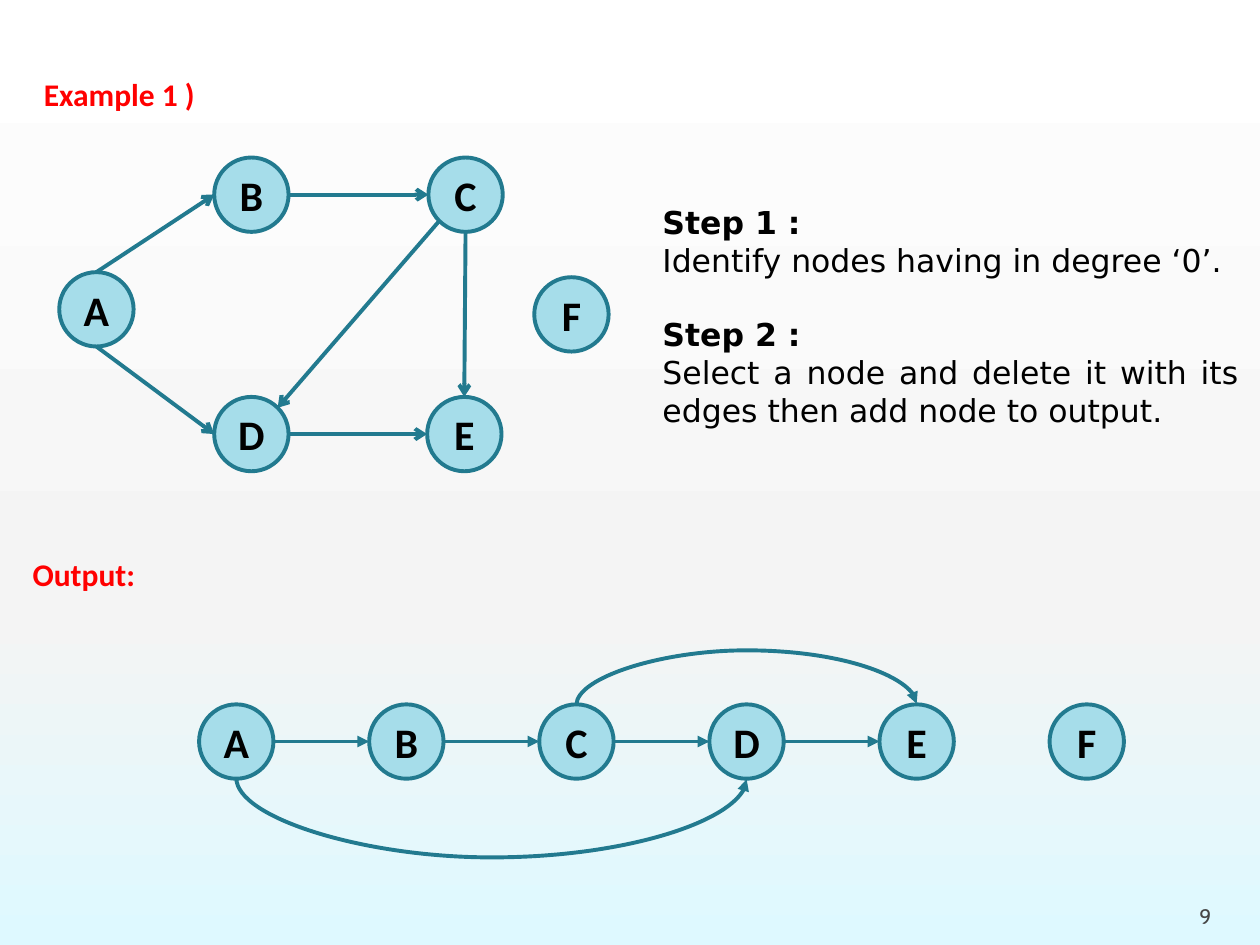
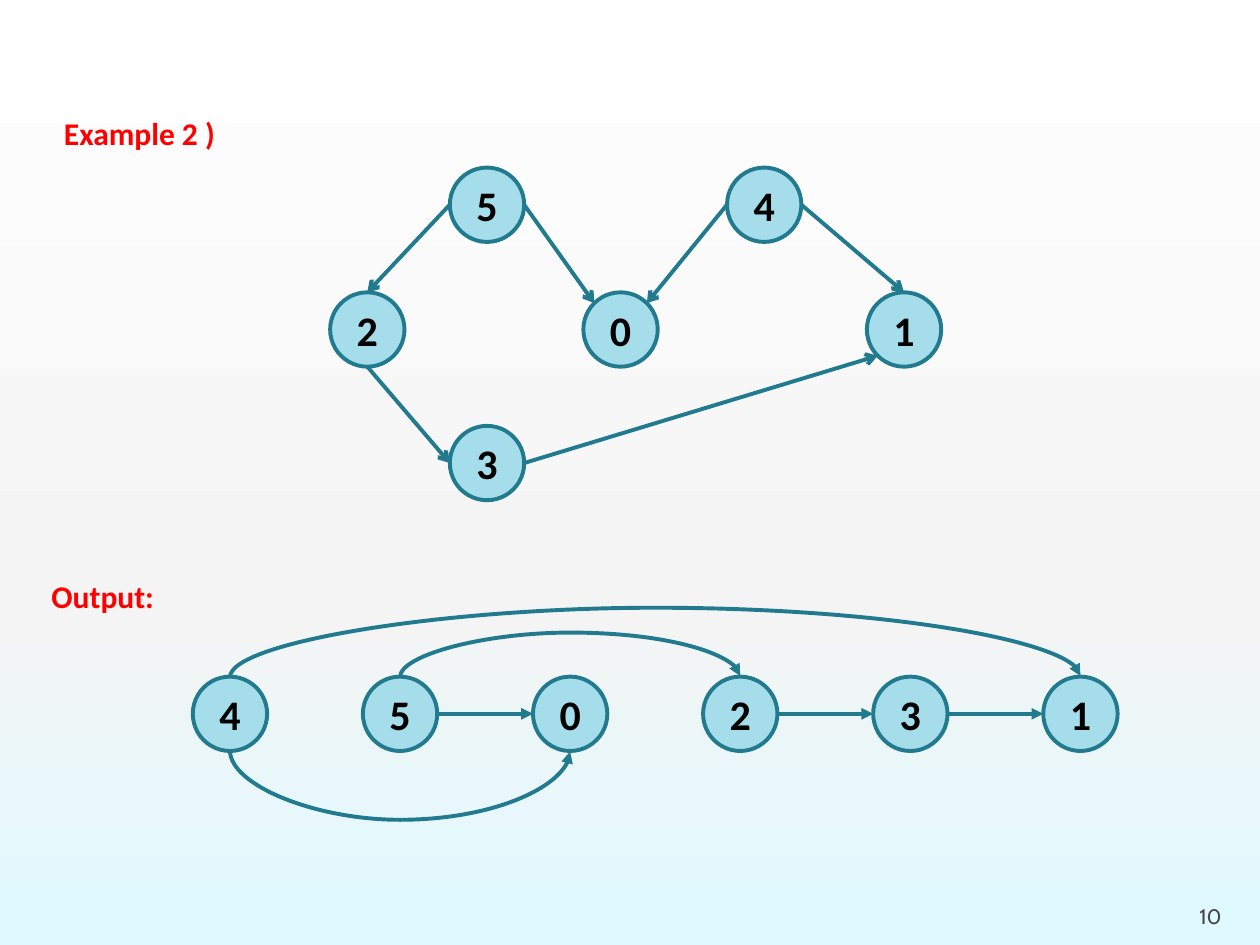
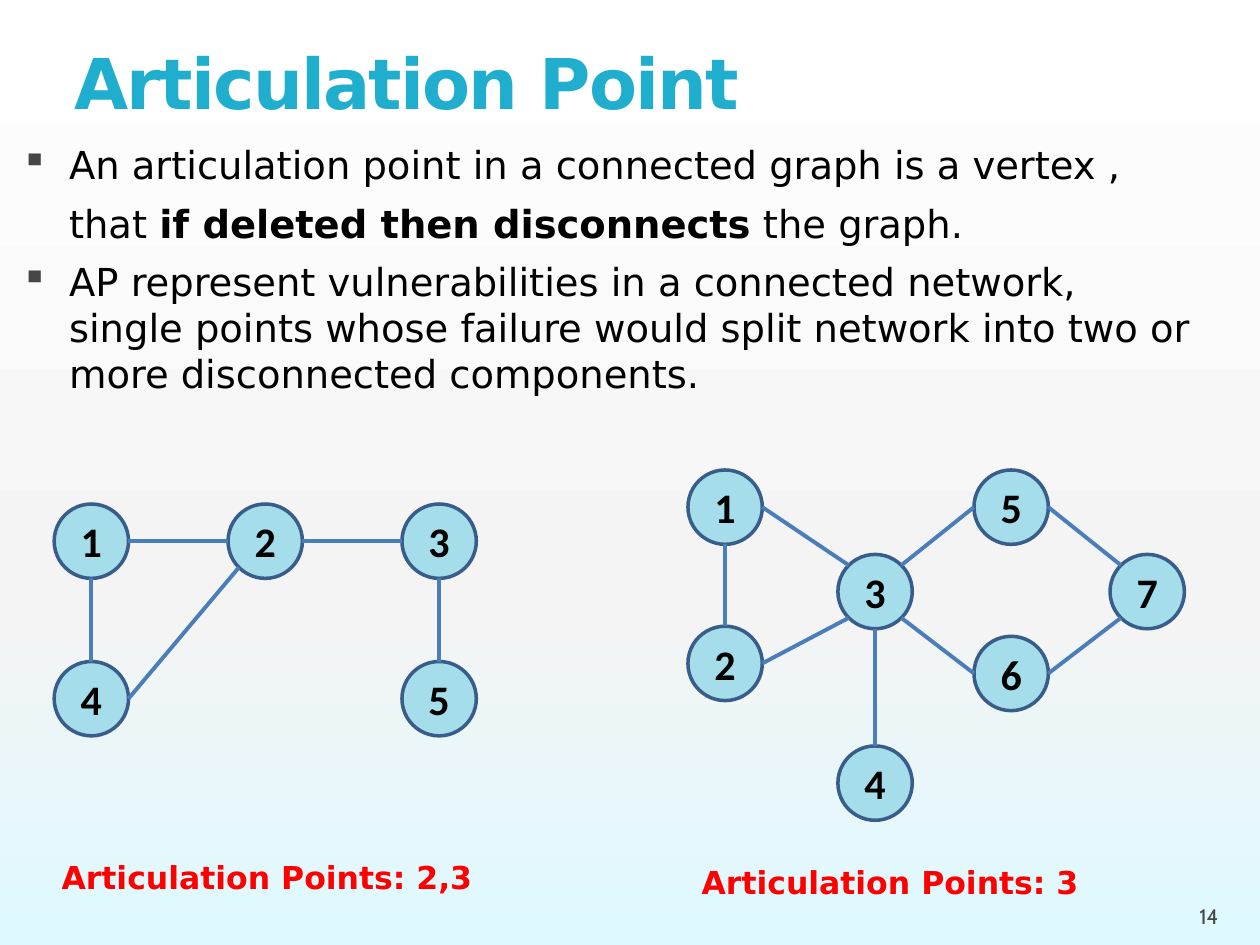
"""Build three slides on topological sorting and articulation points."""
from copy import deepcopy
from dataclasses import dataclass
from enum import Enum
from math import sqrt
from typing import NamedTuple

from lxml.etree import SubElement
from pptx import Presentation
from pptx.dml.color import RGBColor
from pptx.enum.shapes import MSO_CONNECTOR as Route, MSO_SHAPE as Preset
from pptx.enum.text import MSO_ANCHOR as Anchor, PP_ALIGN as Align
from pptx.oxml.ns import qn
from pptx.util import Inches, Pt


@dataclass(frozen=True)
class Theme:
    """Colours, fonts and type sizes of the deck."""
    node_fill: str = "A6DDEA"
    teal: str = "227A8F"
    navy: str = "385D8A"
    blue: str = "4A7EBB"
    heading: str = "1FAECD"
    red: str = "FF0000"
    black: str = "000000"
    grey: str = "464646"
    backdrop: tuple = ((0, "FFFFFF"), (0.65, "F4F4F4"), (1, "DEF9FF"))
    sans: str = "DejaVu Sans"
    label: str = "Calibri"
    number: str = "Cabin"
    title_size: float = 40
    node_size: float = 24
    body_size: float = 22
    text_size: float = 18
    number_size: float = 12
    link_width: float = 2.25


THEME = Theme()
DIAMETER = 0.59
RADIUS = DIAMETER / 2
CHAIN_PITCH = 1.35
ARC_THICKNESS = 0.01
DIAGONAL = 1 / sqrt(2)


class Side(Enum):
    """Point on a node's rim, as a direction from its centre."""
    N = (0, -1)
    NE = (DIAGONAL, -DIAGONAL)
    E = (1, 0)
    SE = (DIAGONAL, DIAGONAL)
    S = (0, 1)
    SW = (-DIAGONAL, DIAGONAL)
    W = (-1, 0)
    NW = (-DIAGONAL, -DIAGONAL)


class Node(NamedTuple):
    """Labelled circle by its left and top."""
    label: str
    left: float
    top: float

    def rim(self, side: Side) -> tuple[float, float]:
        """Return the point of the rim on the given side."""
        dx, dy = side.value
        return self.left + RADIUS * (1 + dx), self.top + RADIUS * (1 + dy)


class Link(NamedTuple):
    """Straight edge between two nodes."""
    start: str
    leave: Side
    end: str
    enter: Side


class Arc(NamedTuple):
    """Curved edge running above (N) or below (S) the chain."""
    start: str
    end: str
    side: Side
    depth: float


class Look(NamedTuple):
    """Line style of a graph."""
    outline: str
    outline_width: float
    link: str
    head: str = ""


class Graph(NamedTuple):
    """Nodes and the edges between them."""
    look: Look
    nodes: list[Node]
    links: list[Link]
    arcs: tuple[Arc, ...] = ()


class Type(NamedTuple):
    """Character format of a run."""
    font: str
    size: float
    color: str
    bold: bool = False


class Box(NamedTuple):
    """Place of a text block."""
    left: float
    top: float
    width: float
    height: float


NODE_TYPE = Type(THEME.label, THEME.node_size, THEME.black, True)
TAG_TYPE = Type(THEME.label, THEME.text_size, THEME.red, True)
ANSWER_TYPE = Type(THEME.sans, THEME.text_size, THEME.red, True)
STEP_TYPE = Type(THEME.sans, THEME.text_size, THEME.black)
BODY_TYPE = Type(THEME.sans, THEME.body_size, THEME.black)
TITLE_TYPE = Type(THEME.sans, THEME.title_size, THEME.heading, True)
NUMBER_TYPE = Type(THEME.number, THEME.number_size, THEME.grey)

SOURCE_LOOK = Look(THEME.teal, 2.25, THEME.teal, "arrow")
OUTPUT_LOOK = SOURCE_LOOK._replace(head="triangle")
PLAIN_LOOK = Look(THEME.navy, 2, THEME.blue)


def rgb(color: str) -> RGBColor:
    """Turn a hex colour into an RGBColor."""
    return RGBColor.from_string(color)


def add_run(paragraph, text: str, kind: Type):
    """Append one formatted run."""
    run = paragraph.add_run()
    run.text = text
    run.font.name, run.font.size, run.font.bold = kind.font, Pt(kind.size), kind.bold
    run.font.color.rgb = rgb(kind.color)
    return run


def place(shape, box: Box) -> None:
    """Move and size a shape."""
    shape.left, shape.top, shape.width, shape.height = map(Inches, box)


def add_text(slide, box: Box, text: str = "", kind: Type = STEP_TYPE):
    """Add a wrapping text box and return its frame."""
    frame = slide.shapes.add_textbox(*map(Inches, box)).text_frame
    frame.word_wrap = True
    if text:
        add_run(frame.paragraphs[0], text, kind)
    return frame


def next_paragraph(frame):
    """Return the first paragraph while unused, otherwise a new one."""
    first = frame.paragraphs[0]
    return frame.add_paragraph() if first.runs else first


def add_node(slide, node: Node, look: Look) -> None:
    """Draw one labelled circle."""
    circle = slide.shapes.add_shape(
        Preset.OVAL, *map(Inches, (node.left, node.top, DIAMETER, DIAMETER)))
    circle.shadow.inherit = False
    circle.fill.solid()
    circle.fill.fore_color.rgb = rgb(THEME.node_fill)
    circle.line.color.rgb = rgb(look.outline)
    circle.line.width = Pt(look.outline_width)
    frame = circle.text_frame
    frame.margin_left = frame.margin_right = 0
    frame.vertical_anchor = Anchor.MIDDLE
    frame.paragraphs[0].alignment = Align.CENTER
    add_run(frame.paragraphs[0], node.label, NODE_TYPE)


def add_edge(slide, route: Route, begin: tuple, end: tuple, look: Look):
    """Draw a connector and return its shape properties."""
    edge = slide.shapes.add_connector(route, *map(Inches, (*begin, *end)))
    edge.line.color.rgb = rgb(look.link)
    edge.line.width = Pt(THEME.link_width)
    properties = edge.element.spPr
    if look.head:
        SubElement(properties.find(qn("a:ln")), qn("a:tailEnd"), type=look.head)
    SubElement(properties, qn("a:effectLst"))
    return properties


def add_arc(slide, arc: Arc, nodes: dict[str, Node], look: Look) -> None:
    """Draw a curved connector as a quarter-turned S-curve bulging out of the chain."""
    x1, y = nodes[arc.start].rim(arc.side)
    x2, _ = nodes[arc.end].rim(arc.side)
    middle, half = (x1 + x2) / 2, (x2 - x1) / 2
    turn, sign = (90, 1) if arc.side is Side.N else (270, -1)
    begin = (middle + ARC_THICKNESS / 2, y + sign * half)
    end = (middle - ARC_THICKNESS / 2, y - sign * half)
    properties = add_edge(slide, Route.CURVE, begin, end, look)
    properties.find(qn("a:xfrm")).set("rot", str(turn * 60000))
    bulge = round(arc.depth / ARC_THICKNESS * 100000)
    guides = properties.find(qn("a:prstGeom")).find(qn("a:avLst"))
    SubElement(guides, qn("a:gd"), name="adj1", fmla=f"val {bulge}")


def add_graph(slide, graph: Graph) -> None:
    """Draw the nodes and edges of a graph."""
    nodes = {node.label: node for node in graph.nodes}
    for node in graph.nodes:
        add_node(slide, node, graph.look)
    for link in graph.links:
        add_edge(slide, Route.STRAIGHT, nodes[link.start].rim(link.leave),
                 nodes[link.end].rim(link.enter), graph.look)
    for arc in graph.arcs:
        add_arc(slide, arc, nodes, graph.look)


def chain(labels: str, left: float, top: float, pairs: str, *arcs: Arc) -> Graph:
    """Lay out an output order as a row of evenly spaced nodes."""
    nodes = [Node(label, left + i * CHAIN_PITCH, top) for i, label in enumerate(labels)]
    links = [Link(start, Side.E, end, Side.W) for start, end in pairs.split()]
    return Graph(OUTPUT_LOOK, nodes, links, arcs)


def add_number(slide, number: int) -> None:
    """Add the slide number at the bottom right."""
    frame = add_text(slide, Box(9.42, 7.02, 0.5, 0.4), str(number), NUMBER_TYPE)
    frame.vertical_anchor = Anchor.BOTTOM


def paint_backdrop(master) -> None:
    """Give the master its vertical three-stop gradient."""
    fill = master.background.fill
    fill.gradient()
    fill.gradient_angle = 270
    stops = master.element.find(f".//{qn('a:gsLst')}")
    stops.append(deepcopy(stops[0]))
    for stop, (position, color) in zip(fill.gradient_stops, THEME.backdrop):
        stop.position = position
        stop.color.rgb = rgb(color)


def add_example(deck, number: int, example: tuple[str, Box], output_box: Box,
                source: Graph, output: Graph):
    """Add a slide with a source graph and its sorted output."""
    slide = deck.slides.add_slide(deck.slide_layouts[6])
    add_graph(slide, source)
    add_graph(slide, output)
    heading, heading_box = example
    add_text(slide, heading_box, heading, TAG_TYPE)
    add_text(slide, output_box, "Output:", TAG_TYPE)
    add_number(slide, number)
    return slide


def add_steps(slide) -> None:
    """Add the two steps of the algorithm."""
    steps = (
        ("Step 1 :", "Identify nodes having in degree ‘0’."),
        ("Step 2 :", "Select a node and delete it with its edges then add node to output."),
    )
    frame = add_text(slide, Box(5.16, 1.56, 4.77, 1.92))
    for order, (name, action) in enumerate(steps):
        for text, bold, gap in ((name, True, 21 * order), (action, False, 0)):
            paragraph = next_paragraph(frame)
            paragraph.alignment = Align.JUSTIFY
            paragraph.space_before = Pt(gap)
            add_run(paragraph, text, STEP_TYPE._replace(bold=bold))


def add_definition(slide) -> None:
    """Add the bulleted definition of an articulation point."""
    points = (
        (True, [("An articulation point in a connected graph is a vertex ,", False)]),
        (False, [("that ", False), ("if deleted then disconnects", True),
                 (" the graph.", False)]),
        (True, [("AP represent vulnerabilities in a connected network, single points "
                 "whose failure would split network into two or more disconnected "
                 "components.", False)]),
    )
    frame = add_text(slide, Box(0, 1.04, 9.58, 2.24))
    frame.margin_top = Inches(0.08)
    for bulleted, runs in points:
        paragraph = next_paragraph(frame)
        paragraph.space_before = Pt(7)
        for text, bold in runs:
            add_run(paragraph, text, BODY_TYPE._replace(bold=bold))
        properties = paragraph._p.get_or_add_pPr()
        properties.set("marL", str(Inches(0.45)))
        if bulleted:
            properties.set("indent", str(Inches(-0.38)))
            bullet_color = SubElement(properties, qn("a:buClr"))
            SubElement(bullet_color, qn("a:srgbClr"), val=THEME.grey)
            SubElement(properties, qn("a:buSzPct"), val="95000")
            SubElement(properties, qn("a:buChar"), char="▪")


def add_articulation(deck) -> None:
    """Add the slide that defines articulation points."""
    slide = deck.slides.add_slide(deck.slide_layouts[5])
    title = slide.shapes.title
    place(title, Box(0.49, 0.23, 9.58, 0.88))
    title.text_frame.vertical_anchor = Anchor.TOP
    title.text_frame.margin_top = Inches(0.08)
    heading = title.text_frame.paragraphs[0]
    heading.alignment = Align.LEFT
    run = add_run(heading, "Articulation Point", TITLE_TYPE)
    run.font._element.set("spc", "-100")
    add_definition(slide)
    add_graph(slide, Graph(
        PLAIN_LOOK,
        [Node("1", 0.43, 4), Node("4", 0.43, 5.25), Node("2", 1.81, 4),
         Node("3", 3.19, 4), Node("5", 3.19, 5.25)],
        [Link("1", Side.E, "2", Side.W), Link("2", Side.E, "3", Side.W),
         Link("1", Side.S, "4", Side.N), Link("4", Side.E, "2", Side.SW),
         Link("3", Side.S, "5", Side.N)]))
    add_graph(slide, Graph(
        PLAIN_LOOK,
        [Node("1", 5.46, 3.73), Node("2", 5.46, 4.97), Node("3", 6.65, 4.4),
         Node("5", 7.73, 3.73), Node("7", 8.81, 4.4), Node("6", 7.73, 5.05),
         Node("4", 6.65, 5.92)],
        [Link("1", Side.E, "3", Side.NW), Link("1", Side.S, "2", Side.N),
         Link("2", Side.E, "3", Side.SW), Link("3", Side.NE, "5", Side.W),
         Link("3", Side.SE, "6", Side.W), Link("3", Side.S, "4", Side.N),
         Link("5", Side.E, "7", Side.NW), Link("6", Side.E, "7", Side.SW)]))
    add_text(slide, Box(0.39, 6.76, 3.69, 0.51), "Articulation Points: 2,3", ANSWER_TYPE)
    add_text(slide, Box(5.47, 6.8, 3.31, 0.51), "Articulation Points: 3", ANSWER_TYPE)
    add_number(slide, 14)


def main() -> None:
    """Build and save the deck."""
    deck = Presentation()
    deck.slide_width, deck.slide_height = Inches(10), Inches(7.5)
    paint_backdrop(deck.slide_master)
    letters = Graph(
        SOURCE_LOOK,
        [Node("A", 0.47, 2.16), Node("B", 1.7, 1.25), Node("D", 1.7, 3.15),
         Node("C", 3.4, 1.25), Node("E", 3.39, 3.15), Node("F", 4.24, 2.2)],
        [Link("A", Side.N, "B", Side.W), Link("A", Side.S, "D", Side.W),
         Link("B", Side.E, "C", Side.W), Link("D", Side.E, "E", Side.W),
         Link("C", Side.S, "E", Side.N), Link("C", Side.SW, "D", Side.NE)])
    sorted_letters = chain("ABCDEF", 1.58, 5.59, "AB BC CD DE",
                           Arc("A", "D", Side.S, 0.64), Arc("C", "E", Side.N, 0.44))
    first = add_example(deck, 9, ("Example 1 )", Box(0.25, 0.55, 1.47, 0.4)),
                        Box(0.16, 4.36, 1.08, 0.4), letters, sorted_letters)
    add_steps(first)
    digits = Graph(
        SOURCE_LOOK,
        [Node("2", 2.62, 2.32), Node("5", 3.57, 1.33), Node("3", 3.57, 3.38),
         Node("0", 4.63, 2.32), Node("4", 5.77, 1.33), Node("1", 6.88, 2.32)],
        [Link("5", Side.W, "2", Side.N), Link("5", Side.E, "0", Side.NW),
         Link("2", Side.S, "3", Side.W), Link("3", Side.E, "1", Side.SW),
         Link("4", Side.W, "0", Side.NE), Link("4", Side.E, "1", Side.N)])
    sorted_digits = chain("450231", 1.53, 5.37, "50 23 31",
                          Arc("4", "1", Side.N, 0.56), Arc("4", "0", Side.S, 0.56),
                          Arc("5", "2", Side.N, 0.36))
    add_example(deck, 10, ("Example 2 )", Box(0.41, 0.86, 1.47, 0.4)),
                Box(0.31, 4.53, 1.08, 0.4), digits, sorted_digits)
    add_articulation(deck)
    deck.save("out.pptx")


if __name__ == "__main__":
    main()
